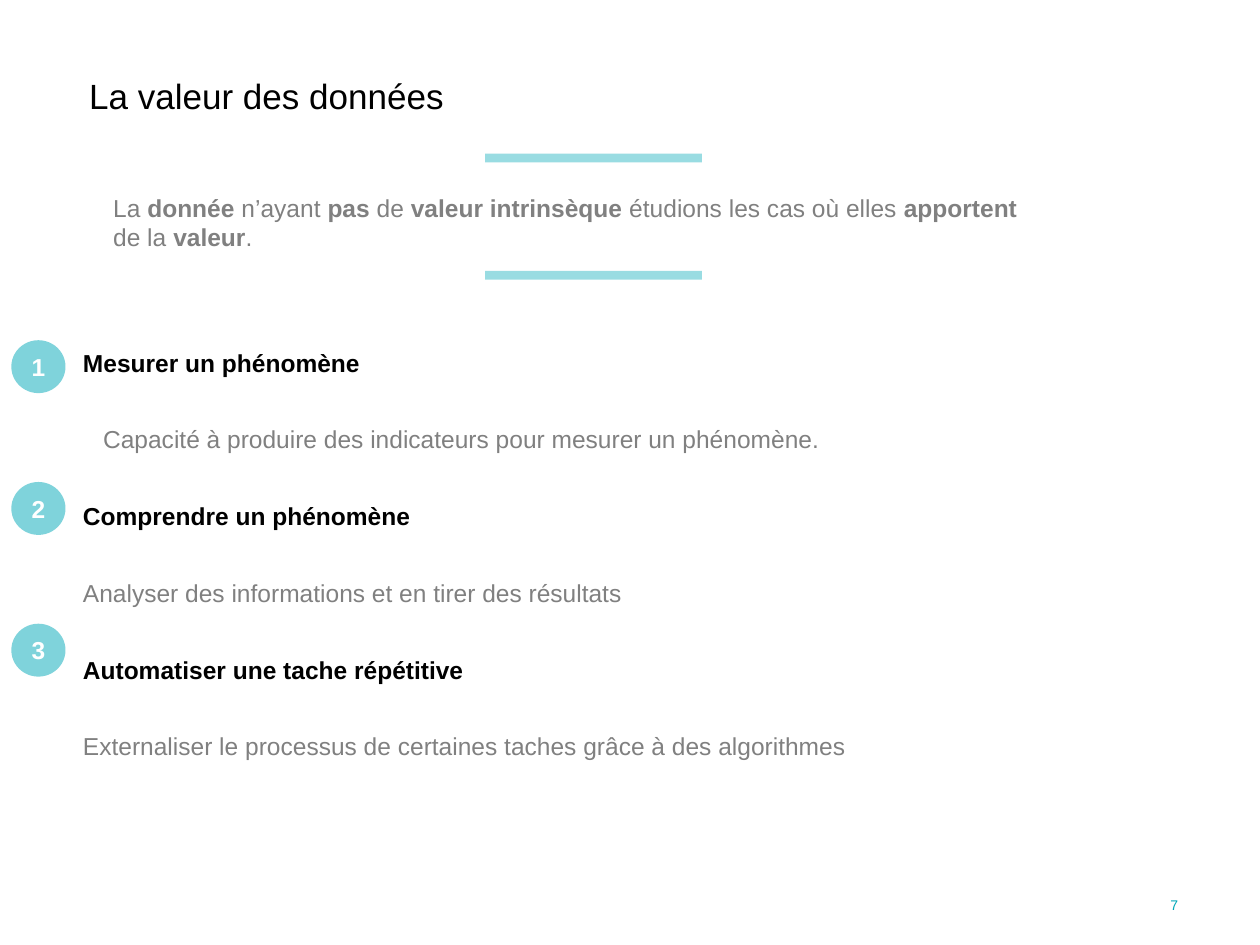
"""Build the slide on the value of data."""
from lxml import etree
from pptx import Presentation
from pptx.dml.color import RGBColor
from pptx.enum.shapes import MSO_SHAPE
from pptx.enum.text import MSO_ANCHOR, PP_ALIGN
from pptx.oxml.ns import qn
from pptx.util import Inches, Pt

OVAL, RECT = MSO_SHAPE.OVAL, MSO_SHAPE.RECTANGLE
MIDDLE, CENTER = MSO_ANCHOR.MIDDLE, PP_ALIGN.CENTER
HUES = {"teal": "00A8B8", "gray": "808080", "black": "000000", "white": "FFFFFF"}

deck = Presentation()
deck.slide_width, deck.slide_height = Inches(10), Inches(7.5)
slide = deck.slides.add_slide(deck.slide_layouts[6])


def write(para, text, hue, size=14, bold=False):
    run = para.add_run()
    run.text = text
    for name, value in {"name": "Arial", "size": Pt(size), "bold": bold}.items():
        setattr(run.font, name, value)
    run.font.color.rgb = RGBColor.from_string(HUES[hue])


def draw(kind, left, top, width, height, alpha):
    shape = slide.shapes.add_shape(
        kind, Inches(left), Inches(top), Inches(width), Inches(height))
    shape.shadow.inherit = False
    shape.line.fill.background()
    shape.fill.solid()
    shape.fill.fore_color.rgb = RGBColor.from_string(HUES["teal"])
    color = shape.fill._xPr.find(qn("a:solidFill"))[0]
    etree.SubElement(color, qn("a:alpha")).set("val", str(alpha * 1000))
    return shape


page = slide.shapes.add_textbox(Inches(8.94), Inches(6.98), Inches(0.76), Inches(0.4))
page.text_frame.vertical_anchor = MIDDLE
page.text_frame.paragraphs[0].alignment = CENTER
write(page.text_frame.paragraphs[0], "7", "teal", 8)

cases = [
    ("Mesurer un phénomène",
     "Capacité à produire des indicateurs pour mesurer un phénomène.", 0.41),
    ("Comprendre un phénomène",
     "Analyser des informations et en tirer des résultats", 0.25),
    ("Automatiser une tache répétitive",
     "Externaliser le processus de certaines taches grâce à des algorithmes", 0.25),
]
body = slide.shapes.add_textbox(Inches(0.31), Inches(2.39), Inches(8.39), Inches(4.83))
frame = body.text_frame
frame.word_wrap = True
frame.margin_top = Inches(0.37)
for step, (head, text, inset) in enumerate(cases):
    first = frame.add_paragraph() if step else frame.paragraphs[0]
    second = frame.add_paragraph()
    for para, indent in ((first, 0.25), (second, inset)):
        para._p.get_or_add_pPr().set("marL", str(Inches(indent)))
    if step:
        first.space_before = Pt(27)
    second.space_before = Pt(27)
    write(first, head, "black", bold=True)
    write(second, text, "gray")

title = slide.shapes.add_textbox(Inches(0.61), Inches(0.54), Inches(3.19), Inches(0.44))
title.text_frame.word_wrap = False
write(title.text_frame.paragraphs[0], "La valeur des données", "black", 20)

for step in range(len(cases)):
    badge = draw(OVAL, 0.09, 2.7 + 1.125 * step, 0.43, 0.42, 50)
    badge.text_frame.vertical_anchor = MIDDLE
    para = badge.text_frame.paragraphs[0]
    para.alignment = CENTER
    write(para, str(step + 1), "white", bold=True)

for top in (2.15, 1.22):
    draw(RECT, 3.85, top, 1.72, 0.07, 40)

intro = slide.shapes.add_textbox(Inches(0.8), Inches(1.48), Inches(7.4), Inches(0.57))
intro.text_frame.word_wrap = True
parts = ["La ", "donnée", " n’ayant ", "pas", " de ", "valeur intrinsèque",
         " étudions les cas où elles ", "apportent", " de la ", "valeur", "."]
for spot, text in enumerate(parts):
    write(intro.text_frame.paragraphs[0], text, "gray", bold=spot % 2 == 1)

deck.save("out.pptx")
